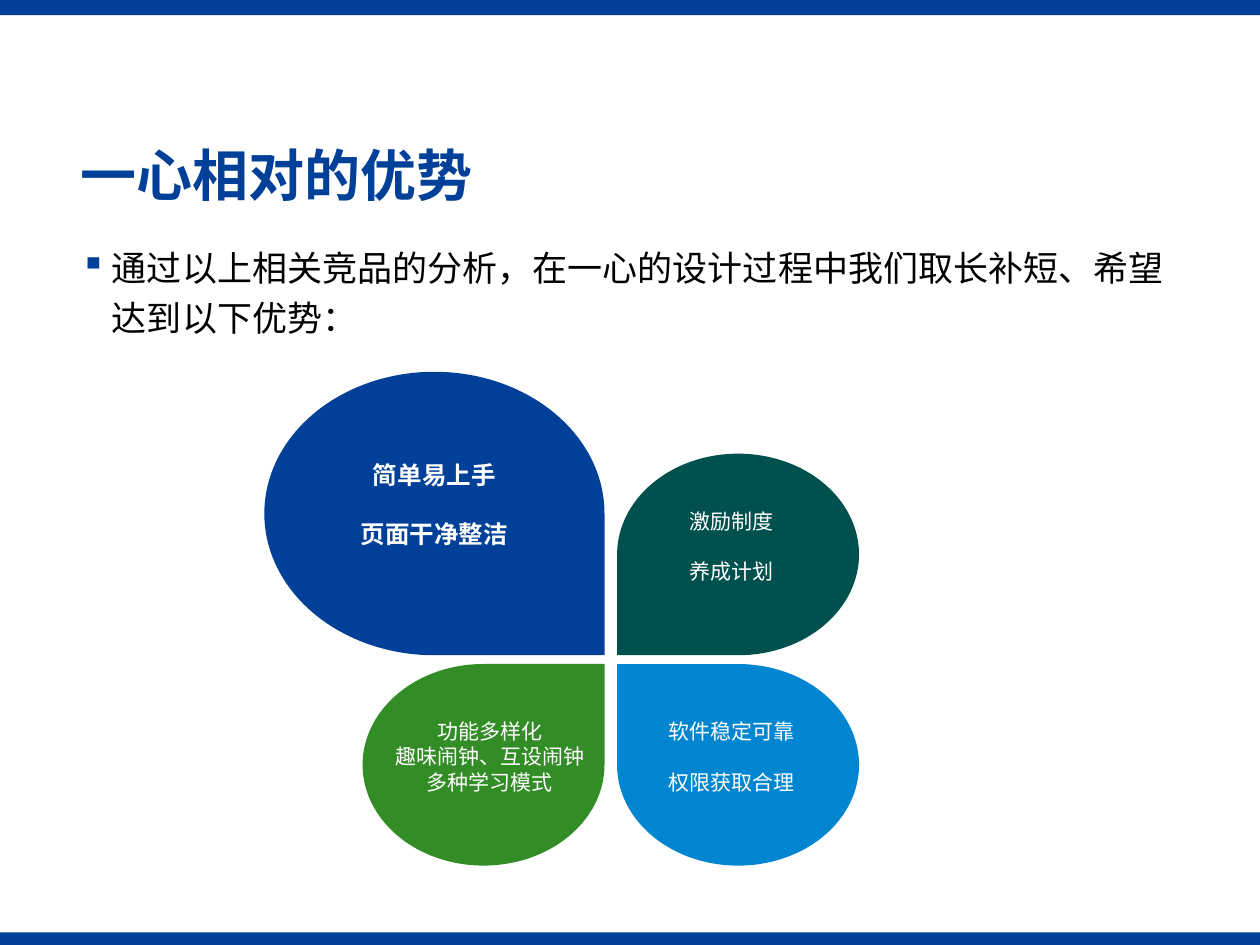
from dataclasses import dataclass

from lxml import etree
from pptx import Presentation
from pptx.dml.color import RGBColor
from pptx.enum.shapes import MSO_SHAPE
from pptx.enum.text import MSO_ANCHOR, PP_ALIGN
from pptx.oxml.ns import qn
from pptx.util import Inches, Pt

RECTANGLE, TEARDROP = MSO_SHAPE.RECTANGLE, MSO_SHAPE.TEAR
TOP, MIDDLE = MSO_ANCHOR.TOP, MSO_ANCHOR.MIDDLE
LEFT, CENTER = PP_ALIGN.LEFT, PP_ALIGN.CENTER
COLUMNS, ROWS, CELL = 100, 75, Inches(0.1)


@dataclass(frozen=True)
class Theme:
    font: str = "Noto Sans CJK SC"
    blue: str = "004098"
    teal: str = "00514E"
    green: str = "338D27"
    sky: str = "0086D1"
    black: str = "000000"
    white: str = "FFFFFF"
    title: int = 32
    body: int = 20
    lead: int = 14
    label: int = 12
    leading: float = 1.2


@dataclass(frozen=True)
class Box:
    left: float
    top: float
    width: float
    height: float

    def lengths(self):
        return [round(cells * CELL) for cells in
                (self.left, self.top, self.width, self.height)]


@dataclass(frozen=True)
class Petal:
    side_x: int
    side_y: int
    width: float
    height: float
    color: str
    lines: tuple
    spaced: bool = True
    lead: bool = False


THEME = Theme()
TURNS = {(1, -1): 180, (-1, -1): 90, (-1, 1): 0, (1, 1): 270}
PETALS = (
    Petal(-1, -1, 27, 22.5, THEME.blue, ("简单易上手", "页面干净整洁"), lead=True),
    Petal(-1, 1, 19.2, 16, THEME.green,
          ("功能多样化", "趣味闹钟、互设闹钟", "多种学习模式"), spaced=False),
    Petal(1, -1, 19.2, 16, THEME.teal, ("激励制度", "养成计划")),
    Petal(1, 1, 19.2, 16, THEME.sky, ("软件稳定可靠", "权限获取合理")),
)


def add_filled(shapes, kind, box, color):
    shape = shapes.add_shape(kind, *box.lengths())
    shape.shadow.inherit = False
    shape.fill.solid()
    shape.fill.fore_color.rgb = RGBColor.from_string(color)
    shape.line.fill.background()
    return shape


def add_text(shapes, box, lines, size, color, bold=False, align=LEFT,
             anchor=TOP, leading=THEME.leading, gap=0):
    frame = shapes.add_textbox(*box.lengths()).text_frame
    frame.word_wrap = True
    frame.vertical_anchor = anchor
    for index, line in enumerate(lines):
        para = frame.paragraphs[0] if index == 0 else frame.add_paragraph()
        para.alignment = align
        para.line_spacing = Pt(size * leading)
        para.space_before = Pt(gap if index else 0)
        para.font.size = Pt(size)
        para.font.bold = bold
        para.font.name = THEME.font
        para.font.color.rgb = RGBColor.from_string(color)
        span = para.add_run()
        span.text = line
        east_asian = etree.SubElement(span.font._element, qn("a:ea"))
        east_asian.set("typeface", THEME.font)
    return frame


def add_bullet(para, mark, color, indent):
    settings = para._p.get_or_add_pPr()
    settings.set("marL", str(indent))
    settings.set("indent", str(-indent))
    bullet_color = etree.Element(qn("a:buClr"))
    etree.SubElement(bullet_color, qn("a:srgbClr")).set("val", color)
    bullet = etree.Element(qn("a:buChar"))
    bullet.set("char", mark)
    defaults = settings.find(qn("a:defRPr"))
    defaults.addprevious(bullet_color)
    defaults.addprevious(bullet)


def add_bands(page, box):
    for top, height in ((box.height - 1, 1), (0, 1.2)):
        band = Box(box.left, box.top + top, box.width, height)
        add_filled(page.shapes, RECTANGLE, band, THEME.blue)


def add_heading(page, box):
    add_text(page.shapes, box, ["一心相对的优势"], THEME.title, THEME.blue,
             bold=True, anchor=MIDDLE)


def add_introduction(page, box):
    frame = add_text(
        page.shapes, box,
        ["通过以上相关竞品的分析，在一心的设计过程中我们取长补短、希望达到以下优势："],
        THEME.body, THEME.black, leading=THEME.leading ** 2)
    add_bullet(frame.paragraphs[0], "▪", THEME.blue, Inches(0.25))


def place_petal(petal, core_x, core_y, gap_x=0.5, gap_y=0.35):
    left = core_x + gap_x if petal.side_x > 0 else core_x - gap_x - petal.width
    top = core_y + gap_y if petal.side_y > 0 else core_y - gap_y - petal.height
    return Box(left, top, petal.width, petal.height)


def add_petal(shapes, petal, place):
    turn = TURNS[petal.side_x, petal.side_y]
    width, height = place.width, place.height
    if turn % 180:
        width, height = height, width
    upright = Box(place.left + (place.width - width) / 2,
                  place.top + (place.height - height) / 2, width, height)
    add_filled(shapes, TEARDROP, upright, petal.color).rotation = turn


def add_label(shapes, petal, place):
    size = THEME.lead if petal.lead else THEME.label
    width = 23.6 if petal.lead else 20.1
    lean = 0 if petal.lead else -0.5 * petal.side_x
    drop = 0.29 if petal.lead else 0.24
    box = Box(place.left + (place.width - width) / 2 + lean,
              place.top + place.height * drop,
              width, 10.4 if petal.lead else 7.1)
    add_text(shapes, box, petal.lines, size, THEME.white, bold=petal.lead,
             align=CENTER, gap=size * THEME.leading if petal.spaced else 0)


def add_flower(page, box):
    shapes = page.shapes.add_group_shape().shapes
    core = box.left + box.width * 0.58, box.top + box.height * 0.58
    places = [(petal, place_petal(petal, *core)) for petal in PETALS]
    for add_part in (add_petal, add_label):
        for petal, place in places:
            add_part(shapes, petal, place)


def main():
    deck = Presentation()
    deck.slide_width, deck.slide_height = COLUMNS * CELL, ROWS * CELL
    page = deck.slides.add_slide(deck.slide_layouts[6])
    add_bands(page, Box(0, 0, COLUMNS, ROWS))
    add_introduction(page, Box(5.4, 18.4, 88.8, 53.8))
    add_heading(page, Box(5.4, 10.7, 91.6, 6.3))
    add_flower(page, Box(21.1, 29.5, 47.2, 39.4))
    deck.save("out.pptx")


if __name__ == "__main__":
    main()
